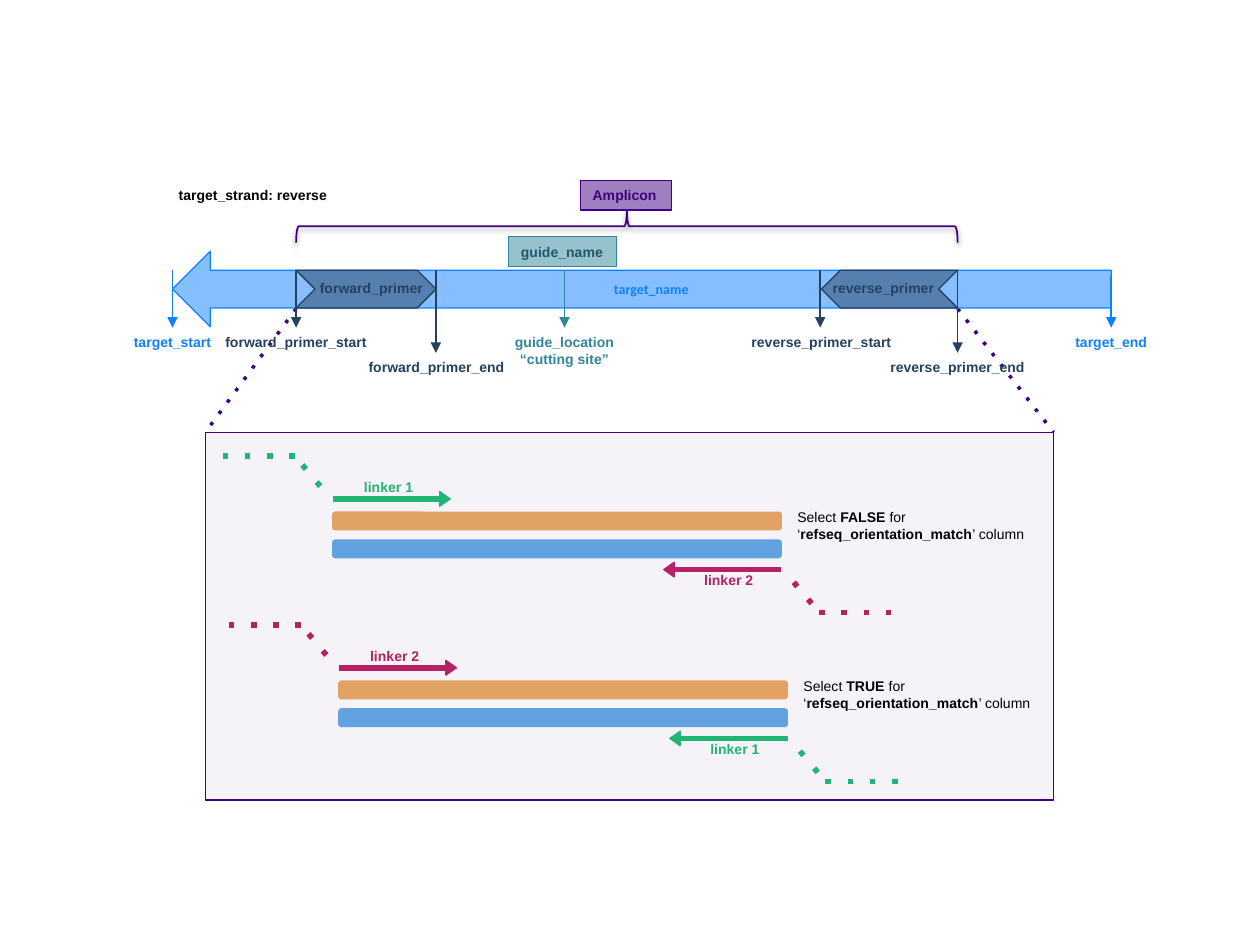
"""Build a slide showing amplicon coordinates and linker orientation."""
from lxml import etree
from pptx import Presentation, util as u
from pptx.dml.color import RGBColor
from pptx.enum import dml, shapes, text
from pptx.oxml.ns import qn

PURPLE, NAVY, AZURE, TEAL = "400080", "254061", "0F80FF", "31859C"
GREEN, CRIMSON, ORANGE, BLUE, BLACK = "21B573", "B52163", "E1A263", "63A2E1", "000000"
SHAPE = shapes.MSO_SHAPE


def paint(fmt, color, alpha=None):
    """Give a fill a solid colour and an optional opacity in percent."""
    fmt.solid()
    fmt.fore_color.rgb = RGBColor.from_string(color)
    if alpha is not None:
        clr = fmt._xPr.find(qn("a:solidFill"))[0]
        etree.SubElement(clr, qn("a:alpha"), val=str(alpha * 1000))


def write(sp, paragraphs, color, align=None, font="Arial", wrap=False, grow=True):
    """Write paragraphs of (text, bold) runs into a shape."""
    tf = sp.text_frame
    tf.word_wrap = wrap
    if grow:
        tf.auto_size = text.MSO_AUTO_SIZE.SHAPE_TO_FIT_TEXT
    for i, runs in enumerate(paragraphs):
        p = tf.paragraphs[0] if i == 0 else tf.add_paragraph()
        p.alignment = align or text.PP_ALIGN.LEFT
        for words, bold in runs:
            r = p.add_run()
            r.text = words
            r.font.size, r.font.name, r.font.bold = u.Pt(8), font, bold
            paint(r.font.fill, color)


def add_label(s, x, y, w, h, words, color, align=None):
    """Add a bold label, one paragraph for each line of words."""
    sp = s.shapes.add_textbox(u.Pt(x), u.Pt(y), u.Pt(w), u.Pt(h))
    write(sp, [[(line, True)] for line in words.split("\n")], color, align)


def add_box(s, kind, x, y, w, h, fill=None, alpha=None, line=None, width=0.75):
    """Add a preset shape with no shadow."""
    sp = s.shapes.add_shape(kind, u.Pt(x), u.Pt(y), u.Pt(w), u.Pt(h))
    sp.shadow.inherit = False
    if fill:
        paint(sp.fill, fill, alpha)
    else:
        sp.fill.background()
    if line:
        paint(sp.line.fill, line)
        sp.line.width = u.Pt(width)
    else:
        sp.line.fill.background()
    return sp


def add_line(s, x1, y1, x2, y2, color, width=1, dotted=False, arrow=False):
    """Add a straight line, dotted or ending in an arrowhead if asked."""
    c = s.shapes.add_connector(shapes.MSO_CONNECTOR.STRAIGHT,
                               u.Pt(x1), u.Pt(y1), u.Pt(x2), u.Pt(y2))
    paint(c.line.fill, color)
    c.line.width = u.Pt(width)
    if dotted:
        c.line.dash_style = dml.MSO_LINE.SQUARE_DOT
        c.line._ln.find(qn("a:prstDash")).set("val", "dot")
    if arrow:
        etree.SubElement(c.line._ln, qn("a:tailEnd"), type="triangle")
    etree.SubElement(c._element.spPr, qn("a:effectLst"))


def add_head(s, points, color):
    """Add a filled triangle through three points."""
    pts = [(u.Pt(x), u.Pt(y)) for x, y in points]
    fb = s.shapes.build_freeform(*pts[0], scale=1.0)
    fb.add_line_segments(pts[1:], close=True)
    sp = fb.convert_to_shape()
    sp.shadow.inherit = False
    paint(sp.fill, color)
    paint(sp.line.fill, color)
    sp.line.width = u.Pt(0.75)


def add_linker(s, cx, cy, side, name, color):
    """Add a linker arrow with its dotted tail; side -1 is upper left, 1 lower right."""
    def at(dx, dy):
        return cx + side * dx, cy + side * dy

    add_line(s, *at(128.2, 20.2), *at(67, 20.2), color, 3.18)
    add_head(s, [at(67, 24.4), at(67, 16), at(61, 20.2)], color)
    add_line(s, *at(149.8, 44.7), *at(193, 44.7), color, 3.18, dotted=True)
    add_line(s, *at(145.5, 39.6), *at(130.4, 21.6), color, 3.18, dotted=True)
    x, y = (cx - 117.4, cy - 35.3) if side < 0 else (cx + 77, cy + 18)
    add_label(s, x, y, 42.5, 17.3, name, color)


def add_read_pair(s, cx, cy, answer, upper, lower):
    """Add two read bars, their linkers and the setting to select."""
    for dy, color in ((2.9, BLUE), (-13, ORANGE)):
        add_box(s, SHAPE.ROUNDED_RECTANGLE, cx - 128.5, cy + dy, 257, 10.8, color)
    add_linker(s, cx, cy, -1, *upper)
    add_linker(s, cx, cy, 1, *lower)
    sp = s.shapes.add_textbox(u.Pt(cx + 130.2), u.Pt(cy - 18), u.Pt(144.7), u.Pt(26.6))
    write(sp, [[("Select ", False), (answer + " ", True), ("for \u2018", False),
                ("refseq_orientation_match", True), ("\u2019 column", False)]],
          BLACK, wrap=True)


def add_brace(s, x, y, w, h):
    """Add a shadowed brace that opens downwards over the amplicon."""
    sp = add_box(s, SHAPE.LEFT_BRACE, x + (w - h) / 2, y + (h - w) / 2, h, w,
                 line=PURPLE, width=1)
    sp.rotation = 90
    effects = sp._element.spPr.find(qn("a:effectLst"))
    shadow = etree.SubElement(effects, qn("a:outerShdw"), blurRad=str(u.Pt(3.1)),
                              dist=str(u.Pt(1.6)), dir="5400000", rotWithShape="0")
    clr = etree.SubElement(shadow, qn("a:srgbClr"), val=BLACK)
    etree.SubElement(clr, qn("a:alpha"), val="38000")


def add_target(s):
    """Add the target arrow with its primers, guide and positions."""
    center = text.PP_ALIGN.CENTER
    sp = add_box(s, SHAPE.LEFT_ARROW, 98.6, 143.6, 536.4, 43.2, AZURE, 50, AZURE)
    write(sp, [[("target_name", True)]], AZURE, center, "Calibri", True, False)

    for name, x, w, turn, tx, tw in (("forward_primer", 169.2, 80, 0, 175.7, 74.9),
                                     ("reverse_primer", 469.4, 77.8, 180, 468.7, 74.2)):
        sp = add_box(s, SHAPE.CHEVRON, x, 154.4, w, 21.6, NAVY, 50, NAVY)
        sp.rotation = turn
        add_label(s, tx, 156.4, tw, 17.3, name, NAVY)

    low, high = 187.2, 201.6
    for name, x, top, end, mid, w, color in (
            ("target_start", 98.6, 154.1, low, 98.6, 59, AZURE),
            ("forward_primer_start", 169.2, 154.1, low, 169.2, 96.5, NAVY),
            ("forward_primer_end", 249.1, 154.1, high, 249.5, 92.9, NAVY),
            ("guide_location\n\u201ccutting site\u201d", 322.6, 154.1, low, 322.6, 72, TEAL),
            ("reverse_primer_start", 468.7, 154.1, low, 469.4, 95, NAVY),
            ("reverse_primer_end", 547.2, 154.1, high, 547.2, 92.2, NAVY),
            ("target_end", 635, 157.7, low, 635, 56.2, AZURE)):
        add_line(s, x, top, x, end, color, arrow=True)
        h = 26.6 if "\n" in name else 17.3
        add_label(s, mid - w / 2, end, w, h, name, color, center)

    add_brace(s, 169.2, 120, 378, 18.7)
    for name, x, y, w, fill, color in (("guide_name", 290.6, 135.3, 61.9, TEAL, "215968"),
                                       ("Amplicon", 331.6, 103, 52.1, PURPLE, PURPLE)):
        sp = add_box(s, SHAPE.RECTANGLE, x, y, w, 17.0, fill, 50, fill)
        write(sp, [[(name, True)]], color)
    add_label(s, 95, 103, 100.1, 17.3, "target_strand: reverse", BLACK)


def main():
    """Build and save the slide."""
    prs = Presentation()
    prs.slide_width, prs.slide_height = u.Pt(720), u.Pt(540)
    s = prs.slides.add_slide(prs.slide_layouts[6])
    add_line(s, 169.2, 176.4, 117.4, 247, PURPLE, 2, dotted=True)
    add_box(s, SHAPE.RECTANGLE, 117.4, 247, 484.6, 210.2, PURPLE, 5, PURPLE)
    add_line(s, 547.2, 176.4, 602, 247, PURPLE, 2, dotted=True)
    one, two = ("linker 1", GREEN), ("linker 2", CRIMSON)
    add_read_pair(s, 318.3, 305.3, "FALSE", one, two)
    add_read_pair(s, 321.8, 401.8, "TRUE", two, one)
    add_target(s)
    prs.save("out.pptx")


main()
